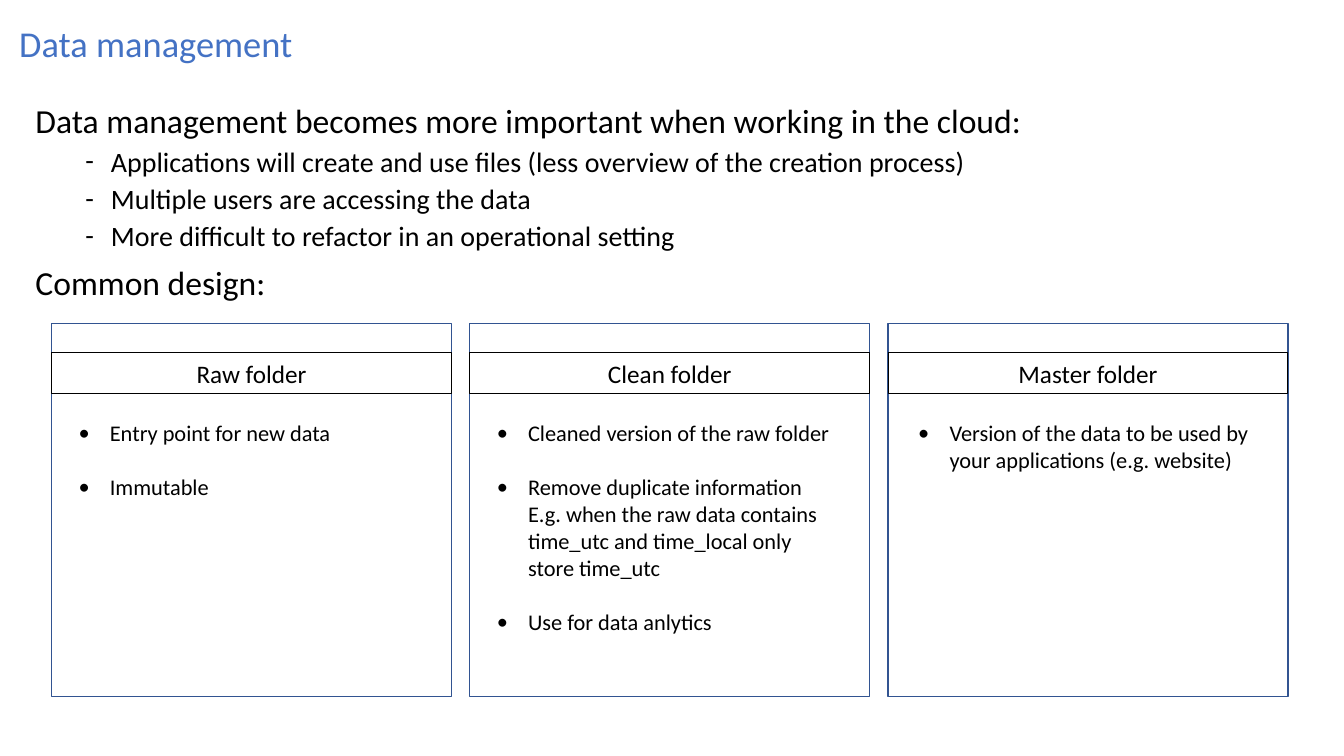
from lxml import etree
from pptx import Presentation
from pptx.dml.color import RGBColor
from pptx.enum.shapes import MSO_SHAPE
from pptx.enum.text import MSO_ANCHOR, MSO_AUTO_SIZE, PP_ALIGN
from pptx.oxml.ns import qn
from pptx.util import Cm, Pt

RECTANGLE = MSO_SHAPE.RECTANGLE
MIDDLE, TOP = MSO_ANCHOR.MIDDLE, MSO_ANCHOR.TOP
LEFT, CENTER = PP_ALIGN.LEFT, PP_ALIGN.CENTER
NO_AUTOSIZE = MSO_AUTO_SIZE.NONE

FOLDERS = [
    ("Raw folder", 0.43, ["Entry point for new data", "Immutable"]),
    ("Clean folder", 0.43, [
        "Cleaned version of the raw folder",
        "Remove duplicate information\vE.g. when the raw data contains "
        "time_utc and time_local only store time_utc",
        "Use for data anlytics",
    ]),
    ("Master folder", 0.51, [
        "Version of the data to be used by your applications (e.g. website)",
    ]),
]
BODY = [
    (0, "Data management becomes more important when working in the cloud:"),
    (1, "Applications will create and use files "
        "(less overview of the creation process)"),
    (1, "Multiple users are accessing the data"),
    (1, "More difficult to refactor in an operational setting"),
    (0, "Common design:"),
]


def color(value):
    return RGBColor.from_string(value)


class SlideBuilder:
    """Hold the slide style and add each kind of element to the slide."""

    font_name = "Calibri"
    accent, border, black = "4472C4", "325491", "000000"

    def __init__(self, presentation):
        self.slide = presentation.slides.add_slide(presentation.slide_layouts[1])

    def place(self, shape, left, top, width, height):
        shape.left, shape.top = Cm(left), Cm(top)
        shape.width, shape.height = Cm(width), Cm(height)

    def prepare(self, shape, anchor=TOP):
        frame = shape.text_frame
        frame.word_wrap = True
        frame.auto_size = NO_AUTOSIZE
        frame.vertical_anchor = anchor
        return frame

    def set_text(self, paragraph, text, size, font_color=black, align=LEFT):
        paragraph.text = text
        paragraph.alignment = align
        paragraph.font.name = self.font_name
        paragraph.font.size = Pt(size)
        paragraph.font.color.rgb = color(font_color)

    def bullet(self, paragraph, character, margin, hanging):
        properties = paragraph._p.get_or_add_pPr()
        properties.set("marL", str(Cm(margin)))
        properties.set("indent", str(-Cm(hanging)))
        if character:
            font = etree.SubElement(properties, qn("a:buFont"))
            font.set("typeface", self.font_name)
            etree.SubElement(properties, qn("a:buChar")).set("char", character)
        else:
            etree.SubElement(properties, qn("a:buNone"))

    def paragraphs(self, frame, count):
        for _ in range(count - 1):
            frame.add_paragraph()
        return frame.paragraphs

    def title(self, text):
        shape = self.slide.shapes.title
        self.place(shape, 0.23, 0.38, 32.61, 1.52)
        paragraph = self.prepare(shape, MIDDLE).paragraphs[0]
        paragraph.line_spacing = 0.9
        self.set_text(paragraph, text, 26, self.accent)

    def body(self, entries):
        shape = self.slide.placeholders[1]
        self.place(shape, 0.64, 2.51, 32.21, 5.44)
        paragraphs = self.paragraphs(self.prepare(shape), len(entries))
        for paragraph, (level, text) in zip(paragraphs, entries):
            paragraph.level = level
            paragraph.line_spacing = 0.9
            paragraph.space_before = Pt(5 if level else 10)
            if level:
                self.bullet(paragraph, "-", 1.9, 0.64)
            else:
                self.bullet(paragraph, None, 0, 0)
            self.set_text(paragraph, text, 20 if level else 24)

    def box(self, left, top, width, height, line_color, line_width):
        shape = self.slide.shapes.add_shape(
            RECTANGLE, Cm(left), Cm(top), Cm(width), Cm(height))
        shape.shadow.inherit = False
        shape.fill.background()
        shape.line.color.rgb = color(line_color)
        shape.line.width = Pt(line_width)
        return shape

    def label(self, text, left, top, width, height):
        shape = self.box(left, top, width, height, self.black, 0.75)
        paragraph = self.prepare(shape, MIDDLE).paragraphs[0]
        self.set_text(paragraph, text, 18, align=CENTER)

    def bullet_list(self, items, left, top, width, height):
        shape = self.slide.shapes.add_textbox(
            Cm(left), Cm(top), Cm(width), Cm(height))
        paragraphs = self.paragraphs(self.prepare(shape), len(items))
        for index, (paragraph, text) in enumerate(zip(paragraphs, items)):
            paragraph.space_before = Pt(19.5 if index else 0)
            self.bullet(paragraph, "•", 0.79, 0.79)
            self.set_text(paragraph, text, 16)


def main():
    presentation = Presentation()
    presentation.slide_width = Cm(33.87)
    presentation.slide_height = Cm(19.05)
    builder = SlideBuilder(presentation)
    builder.title("Data management")
    builder.body(BODY)

    first_left, pitch, width = 1.3, 10.54, 10.08
    lefts = [first_left + pitch * column for column in range(len(FOLDERS))]
    for left in lefts:
        builder.box(left, 8.15, width, 9.4, builder.border, 1)
    for left, (name, _, _) in zip(lefts, FOLDERS):
        builder.label(name, left, 8.89, width, 1.02)
    for left, (_, inset, items) in zip(lefts, FOLDERS):
        builder.bullet_list(items, left + inset, 10.44, 9.22, 6.5)

    presentation.save("out.pptx")


if __name__ == "__main__":
    main()
